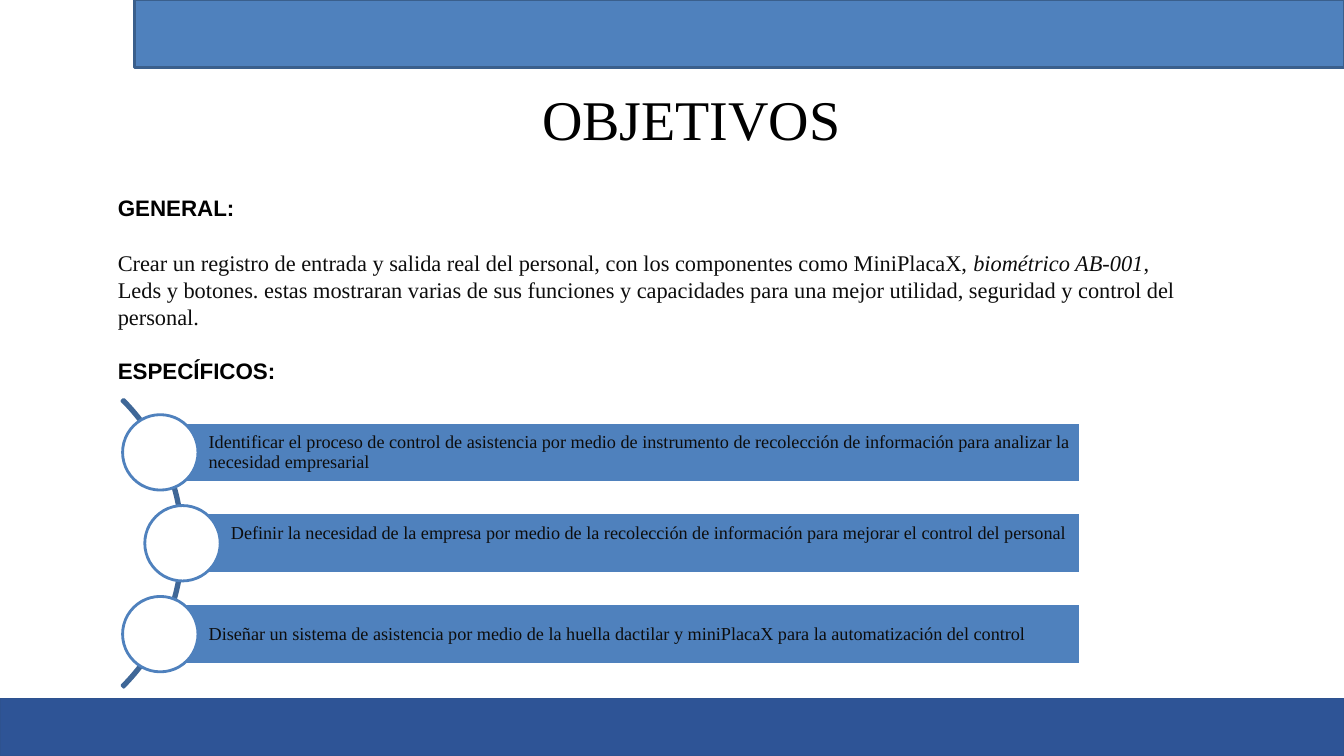
from dataclasses import dataclass

from pptx import Presentation
from pptx.dml.color import RGBColor
from pptx.enum.shapes import MSO_SHAPE as Preset
from pptx.enum.text import MSO_ANCHOR as Anchor, PP_ALIGN as Align
from pptx.util import Cm, Pt


@dataclass(frozen=True)
class Theme:
    blue: str = "4F81BD"
    banner_edge: str = "3A5F8C"
    arc: str = "3F6797"
    footer: str = "2E5496"
    footer_edge: str = "2E528F"
    white: str = "FFFFFF"
    black: str = "000000"
    ink: str = "0D0D0D"
    serif: str = "Times New Roman"
    sans: str = "Arial"
    title_size: float = 40
    body_size: float = 16
    goal_size: float = 13
    body_line: float = 19.3


THEME = Theme()
SLIDE_WIDTH, SLIDE_HEIGHT = 33.87, 19.05

GENERAL_RUNS = [
    ("Crear un registro de entrada y salida real del personal, con los componentes como MiniPlacaX, ", False),
    ("biométrico AB-001", True),
    (", Leds y botones. estas mostraran varias de sus funciones y capacidades para una mejor "
     "utilidad, seguridad y control del personal.", False),
]

# Bar left edge, space under the text, wording
GOALS = [
    (4.04, 0.1, "Identificar el proceso de control de asistencia por medio de instrumento de "
                "recolección de información para analizar la necesidad empresarial"),
    (4.6, 0.6, "Definir la necesidad de la empresa por medio de la recolección de información "
               "para mejorar el control del personal"),
    (4.04, 0.1, "Diseñar un sistema de asistencia por medio de la huella dactilar y miniPlacaX "
                "para la automatización del control"),
]
GOALS_TOP, GOALS_PITCH, GOALS_RIGHT = 10.64, 2.29, 27.24
BAR_HEIGHT, CIRCLE_SIZE = 1.52, 1.9


def rgb(color):
    return RGBColor.from_string(color)


def add_preset(slide, preset, left, top, width, height, fill=None, line=None, line_width=2):
    shape = slide.shapes.add_shape(preset, Cm(left), Cm(top), Cm(width), Cm(height))
    shape.shadow.inherit = False
    if fill:
        shape.fill.solid()
        shape.fill.fore_color.rgb = rgb(fill)
    else:
        shape.fill.background()
    shape.line.color.rgb = rgb(line)
    shape.line.width = Pt(line_width)
    return shape


def set_frame(frame, anchor, left=0, top=0, right=0, bottom=0):
    frame.word_wrap = True
    frame.vertical_anchor = anchor
    frame.margin_left, frame.margin_top = Cm(left), Cm(top)
    frame.margin_right, frame.margin_bottom = Cm(right), Cm(bottom)
    return frame


def add_text_box(slide, left, top, width, height, inset_top):
    box = slide.shapes.add_textbox(Cm(left), Cm(top), Cm(width), Cm(height))
    return set_frame(box.text_frame, Anchor.TOP, top=inset_top)


def add_run(paragraph, text, size, font=THEME.serif, color=THEME.ink, bold=False, italic=False):
    run = paragraph.add_run()
    run.text = text
    run.font.name, run.font.size = font, Pt(size)
    run.font.bold, run.font.italic = bold, italic
    run.font.color.rgb = rgb(color)


def add_title(slide):
    frame = add_text_box(slide, 3.81, 2.11, 27.23, 1.75, 0.03)
    paragraph = frame.paragraphs[0]
    paragraph.alignment = Align.CENTER
    paragraph.space_before = Pt(1)
    add_run(paragraph, "OBJETIVOS", THEME.title_size, color=THEME.black)


def add_objectives(slide):
    frame = add_text_box(slide, 2.97, 4.67, 26.67, 5.2, 0.23)
    heading, body, subheading = frame.paragraphs[0], frame.add_paragraph(), frame.add_paragraph()
    for paragraph in (heading, body, subheading):
        paragraph.line_spacing = Pt(THEME.body_line)
    for paragraph in (body, subheading):
        paragraph.space_before = Pt(THEME.body_line)
    for paragraph, text in ((heading, "GENERAL:"), (subheading, "ESPECÍFICOS:")):
        add_run(paragraph, text, THEME.body_size, THEME.sans, THEME.black, bold=True)
    for text, italic in GENERAL_RUNS:
        add_run(body, text, THEME.body_size, italic=italic)


def add_arc(slide):
    arc = add_preset(slide, Preset.BLOCK_ARC, -5.64, 8.56, 10.26, 10.26, line=THEME.arc)
    for index, value in enumerate((189, 27, 0.006)):
        arc.adjustments[index] = value


def add_goal(slide, left, top, inset_bottom, text):
    bar = add_preset(slide, Preset.RECTANGLE, left, top, GOALS_RIGHT - left, BAR_HEIGHT,
                     THEME.blue, THEME.white)
    frame = set_frame(bar.text_frame, Anchor.MIDDLE, 1.22, 0.1, 0.1, inset_bottom)
    paragraph = frame.paragraphs[0]
    paragraph.alignment = Align.LEFT
    paragraph.line_spacing = 0.9
    add_run(paragraph, text, THEME.goal_size)
    # The circle is centred on the left edge of its bar
    add_preset(slide, Preset.OVAL, left - CIRCLE_SIZE / 2, top + (BAR_HEIGHT - CIRCLE_SIZE) / 2,
               CIRCLE_SIZE, CIRCLE_SIZE, THEME.white, THEME.blue)


def main():
    presentation = Presentation()
    presentation.slide_width, presentation.slide_height = Cm(SLIDE_WIDTH), Cm(SLIDE_HEIGHT)
    slide = presentation.slides.add_slide(presentation.slide_layouts[6])

    # Text
    add_objectives(slide)
    add_title(slide)

    # Footer and banner
    add_preset(slide, Preset.RECTANGLE, 0, 17.6, SLIDE_WIDTH, SLIDE_HEIGHT - 17.6,
               THEME.footer, THEME.footer_edge, 1)
    add_preset(slide, Preset.RECTANGLE, 3.39, 0, SLIDE_WIDTH - 3.39, 1.7,
               THEME.blue, THEME.banner_edge)

    # Specific goals along the arc
    add_arc(slide)
    for index, (left, inset_bottom, text) in enumerate(GOALS):
        add_goal(slide, left, GOALS_TOP + index * GOALS_PITCH, inset_bottom, text)

    presentation.save("out.pptx")


if __name__ == "__main__":
    main()
